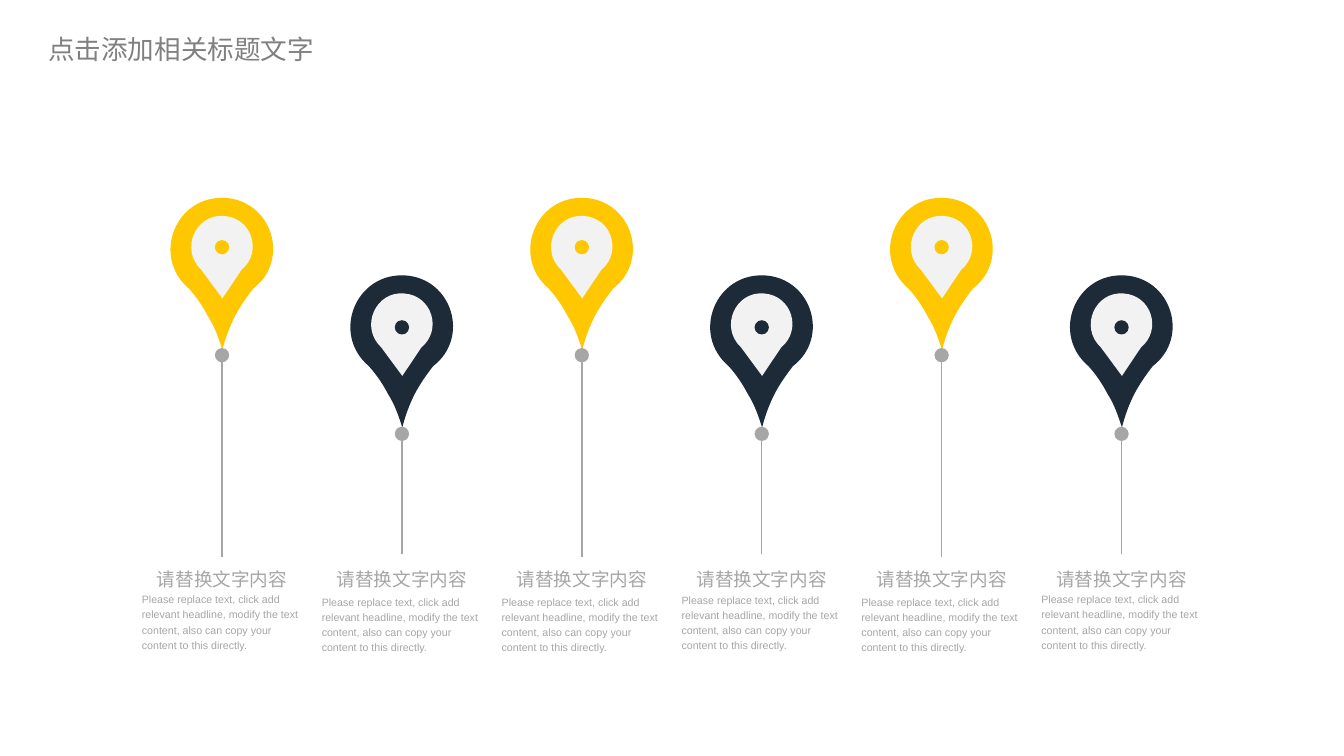
from lxml.etree import SubElement
from pptx import Presentation
from pptx.dml.color import RGBColor
from pptx.enum.shapes import MSO_CONNECTOR as Connector, MSO_SHAPE as Preset
from pptx.enum.text import MSO_ANCHOR as Anchor, MSO_AUTO_SIZE as AutoSize, PP_ALIGN as Align
from pptx.oxml.ns import qn
from pptx.util import Cm, Pt

COLORS = {"gold": "FFC700", "navy": "1D2B38", "pale": "F2F2F2",
          "gray": "A6A6A6", "title": "808080"}
CHINESE_FONT = "Noto Sans CJK SC"
TITLE = "点击添加相关标题文字"
LABEL = "请替换文字内容"
BODY = ("Please replace text, click add relevant headline, modify the text "
        "content, also can copy your content to this directly.")

FIRST_LEFT, PITCH, COLUMN_WIDTH = 3.77, 4.78, 4.26
LABEL_TOP = 15.01
BODY_TOPS = [15.7, 15.77, 15.77, 15.72, 15.77, 15.7]
ROWS = [
    {"fill": "gold", "top": 5.26, "hole": 1.12, "joint": 3.99, "stem_end": 14.81},
    {"fill": "navy", "top": 7.32, "hole": 1.19, "joint": 4.02, "stem_end": 14.73},
]
DOT_SIZE = 0.38

PIN_BOX = (-1.36, 0, 2.72, 4.06)
PIN_OUTLINE = [
    [(-0.88, 2.41)],
    [(-1.89, 1.55), (-1.23, -0.08), (0.09, 0)],
    [(1.33, 0.08), (1.82, 1.65), (0.83, 2.41)],
    [(0.65, 2.64), (0.47, 2.9), (0.34, 3.15)],
    [(0.19, 3.45), (0.09, 3.73), (0.01, 4.04)],
    [(-0.09, 3.73), (-0.19, 3.43), (-0.37, 3.15)],
    [(-0.5, 2.9), (-0.67, 2.64), (-0.88, 2.41)],
]
CORE_BOX = (-0.82, 0.48, 1.63, 2.18)
CORE_OUTLINE = [
    [(0.52, 1.91)],
    [(1.08, 1.45), (0.8, 0.53), (0.06, 0.48)],
    [(-0.7, 0.41), (-1.13, 1.37), (-0.55, 1.91)],
    [(0.01, 2.67)],
]


def color(name):
    """Return the named palette colour."""
    return RGBColor.from_string(COLORS[name])


def paint(shape, fill):
    """Give a shape a plain fill without line or shadow."""
    shape.shadow.inherit = False
    shape.fill.solid()
    shape.fill.fore_color.rgb = color(fill)
    shape.line.fill.background()


def add_outline(slide, box, outline, center, top, fill):
    """Draw a closed curved outline hung from a centre and a top."""
    left, upper, width, height = box
    right, lower = left + width, upper + height
    builder = slide.shapes.build_freeform(Cm(left), Cm(upper))
    builder.add_line_segments([(Cm(right), Cm(upper)), (Cm(right), Cm(lower)),
                               (Cm(left), Cm(lower))], close=True)
    shape = builder.convert_to_shape(Cm(center), Cm(top))
    curve = next(shape.element.iter(qn("a:path")))
    for command in list(curve):
        curve.remove(command)
    for index, points in enumerate(outline):
        tag = "a:moveTo" if index == 0 else "a:lnTo" if len(points) == 1 else "a:cubicBezTo"
        command = SubElement(curve, qn(tag))
        for x, y in points:
            SubElement(command, qn("a:pt"), x=str(Cm(x - left)), y=str(Cm(y - upper)))
    SubElement(curve, qn("a:close"))
    paint(shape, fill)


def add_dot(slide, center, top, fill):
    """Draw a small round dot under the given top."""
    dot = slide.shapes.add_shape(Preset.OVAL, Cm(center - DOT_SIZE / 2), Cm(top),
                                 Cm(DOT_SIZE), Cm(DOT_SIZE))
    paint(dot, fill)


def add_stem(slide, center, top, bottom):
    """Draw the thin vertical stem of a marker."""
    stem = slide.shapes.add_connector(Connector.STRAIGHT, Cm(center), Cm(bottom),
                                      Cm(center), Cm(top))
    stem.line.color.rgb = color("gray")
    stem.line.width = Pt(1)
    SubElement(stem.element.spPr, qn("a:effectLst"))


def format_text(paragraph, font_name, size, fill):
    """Set the fonts, size and colour of a paragraph's runs."""
    for run in paragraph.runs:
        run.font.name = font_name
        run.font.size = Pt(size)
        run.font.color.rgb = color(fill)
        SubElement(run.font._element, qn("a:ea"), typeface=CHINESE_FONT)


def add_text(slide, text, left, top, width, height, size, align, wrap):
    """Add a gray text box without insets."""
    box = slide.shapes.add_textbox(Cm(left), Cm(top), Cm(width), Cm(height))
    frame = box.text_frame
    frame.margin_left = frame.margin_right = frame.margin_top = frame.margin_bottom = 0
    frame.vertical_anchor = Anchor.MIDDLE
    frame.auto_size = AutoSize.SHAPE_TO_FIT_TEXT
    frame.word_wrap = wrap
    frame.text = text
    paragraph = frame.paragraphs[0]
    paragraph.alignment = align
    paragraph.line_spacing = 1.2
    format_text(paragraph, "Arial", size, "gray")


def add_marker(slide, left, width, body_top, row):
    """Place a map pin, its stem and its texts in a column."""
    center, top, fill = left + width / 2, row["top"], row["fill"]
    joint_top = top + row["joint"]
    add_stem(slide, center, joint_top + DOT_SIZE / 2, row["stem_end"])
    add_outline(slide, PIN_BOX, PIN_OUTLINE, center, top, fill)
    add_outline(slide, CORE_BOX, CORE_OUTLINE, center, top, "pale")
    add_dot(slide, center, joint_top, "gray")
    add_text(slide, LABEL, center - 1.74, LABEL_TOP, 3.48, 0.66, 14, Align.CENTER, False)
    add_text(slide, BODY, left, body_top, width, 1.6, 8, Align.LEFT, True)
    add_dot(slide, center, top + row["hole"], fill)


def add_title(slide, left, top, width, height):
    """Move and format the title placeholder."""
    title = slide.shapes.title
    title.left, title.top, title.width, title.height = map(Cm, (left, top, width, height))
    frame = title.text_frame
    frame.text = TITLE
    frame.margin_left = frame.margin_right = Cm(0.28)
    frame.margin_top = frame.margin_bottom = Cm(0.13)
    frame.vertical_anchor = Anchor.TOP
    frame.auto_size = AutoSize.NONE
    frame.word_wrap = True
    paragraph = frame.paragraphs[0]
    paragraph.alignment = Align.LEFT
    paragraph.space_after = Pt(6)
    format_text(paragraph, CHINESE_FONT, 20, "title")


def main():
    """Build and save the slide of six map pins."""
    presentation = Presentation()
    presentation.slide_width, presentation.slide_height = Cm(35.71), Cm(20.09)
    slide = presentation.slides.add_slide(presentation.slide_layouts[5])
    add_title(slide, 1, 0.74, 8.51, 1.04)
    for index, body_top in enumerate(BODY_TOPS):
        add_marker(slide, FIRST_LEFT + index * PITCH, COLUMN_WIDTH, body_top,
                   ROWS[index % len(ROWS)])
    presentation.save("out.pptx")


if __name__ == "__main__":
    main()
